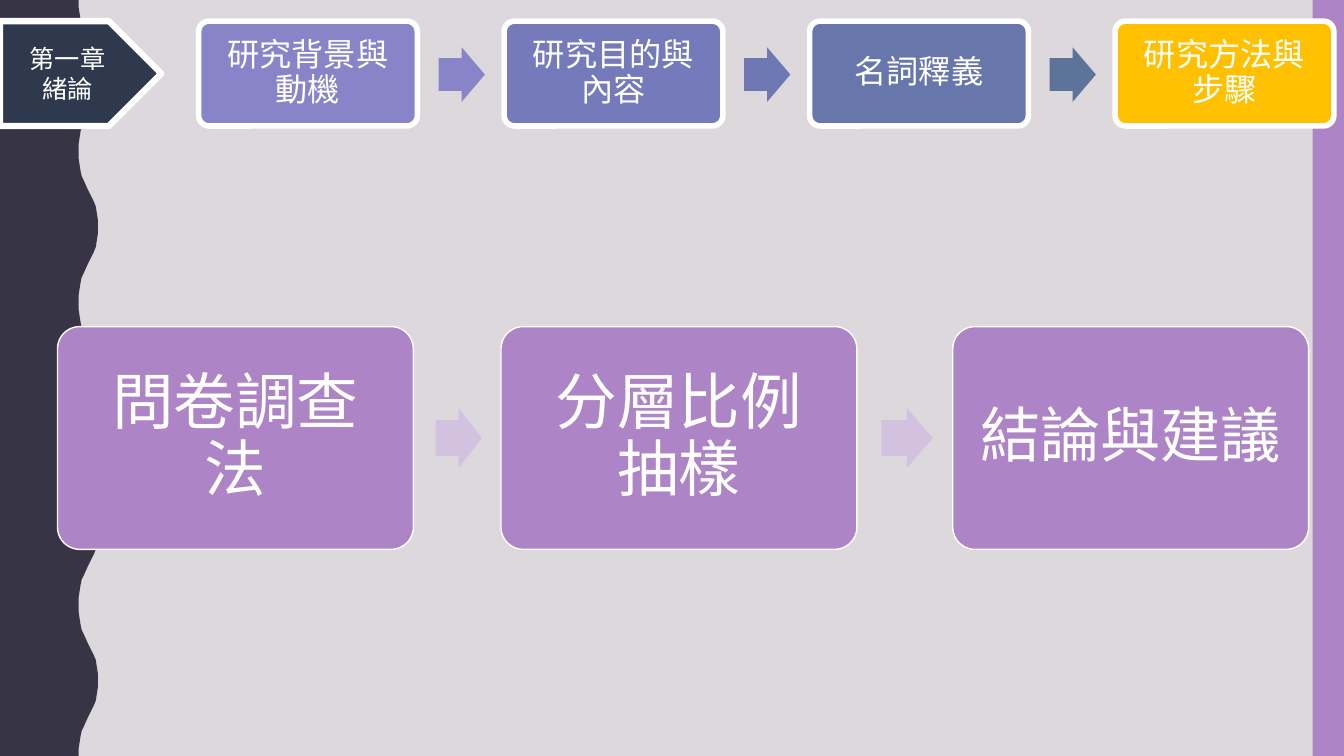
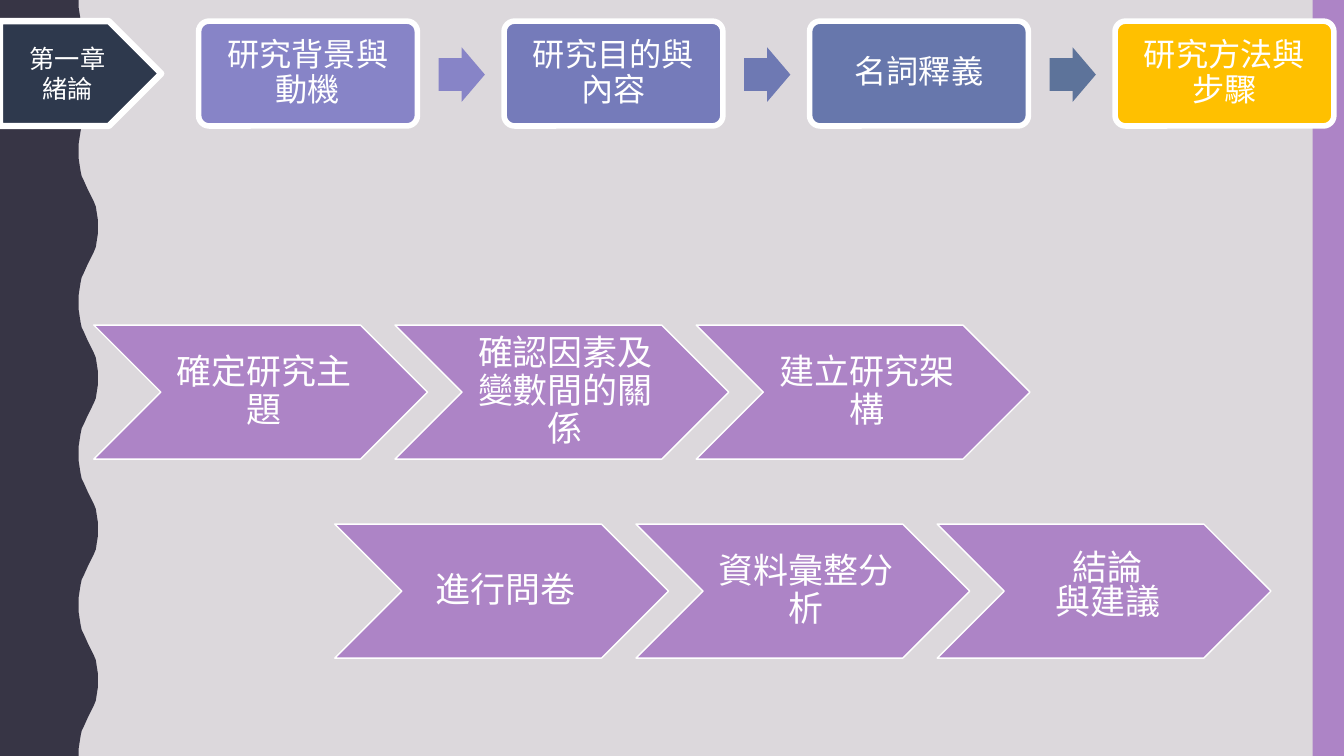
from lxml import etree
from pptx import Presentation
from pptx.dml.color import RGBColor
from pptx.enum.shapes import MSO_SHAPE
from pptx.enum.text import MSO_ANCHOR, PP_ALIGN
from pptx.oxml.ns import qn
from pptx.util import Inches, Pt

RECTANGLE = MSO_SHAPE.RECTANGLE
ROUNDED = MSO_SHAPE.ROUNDED_RECTANGLE
ARROW = MSO_SHAPE.RIGHT_ARROW
CHEVRON = MSO_SHAPE.CHEVRON
PENTAGON = MSO_SHAPE.PENTAGON
MIDDLE = MSO_ANCHOR.MIDDLE
CENTER = PP_ALIGN.CENTER

WHITE = "FFFFFF"
BACKGROUND = "DCD8DC"
DARK = "373545"
PURPLE = "AD84C6"
PALE_PURPLE = "D3C2DF"
NAVY = "2E394D"
FONT = "Noto Sans CJK SC"
LATIN_FONT = "Times New Roman"

CHAPTER = "第一章\n緒論"
SECTIONS = [
    ("研究背景與動機", "8784C7"),
    ("研究目的與內容", "757BBA"),
    ("名詞釋義", "6777AC"),
    ("研究方法與步驟", "FFC000"),
]
SECTION_ARROWS = ["8784C7", "6E79B3", "5D739A"]

WAVE_COUNT = 5
HALF_WAVE = [
    (5.85, 0), (5.85, 0.93), (5.93, 1.87), (6, 2.67), (6.08, 3.33),
    (6.23, 3.87), (6.53, 5.07), (6.83, 6.13), (6.98, 6.67),
    (7.13, 7.33), (7.2, 8.13), (7.28, 9.07), (7.28, 10),
]


def color(value):
    return RGBColor.from_string(value)


class Deck:
    def __init__(self):
        self.presentation = Presentation()
        self.presentation.slide_width = Inches(13.33)
        self.presentation.slide_height = Inches(7.5)
        self.slide = None

    def across(self, percent):
        return round(self.presentation.slide_width * percent / 100)

    def down(self, percent):
        return round(self.presentation.slide_height * percent / 100)

    def start_slide(self, section_font):
        self.slide = self.presentation.slides.add_slide(
            self.presentation.slide_layouts[6])
        fill = self.slide.background.fill
        fill.solid()
        fill.fore_color.rgb = color(BACKGROUND)
        self.wavy_band()
        self.shape(RECTANGLE, 97.67, 0, 2.33, 100, PURPLE)
        self.navigation(section_font)

    def paint(self, shape, fill, line_width=None):
        shape.shadow.inherit = False
        shape.fill.solid()
        shape.fill.fore_color.rgb = color(fill)
        if line_width is None:
            shape.line.fill.background()
        else:
            shape.line.color.rgb = color(WHITE)
            shape.line.width = Pt(line_width)

    def wavy_band(self):
        mirrored = [(x, 20 - y) for x, y in reversed(HALF_WAVE[1:-1])]
        edge = [(x, y + 20 * wave)
                for wave in range(WAVE_COUNT) for x, y in HALF_WAVE + mirrored]
        edge += [(HALF_WAVE[0][0], 100), (0, 100)]
        builder = self.slide.shapes.build_freeform(0, 0)
        builder.add_line_segments(
            [(self.across(x), self.down(y)) for x, y in edge], close=True)
        self.paint(builder.convert_to_shape(), DARK)

    def shape(self, kind, left, top, width, height, fill,
              line_width=None, adjustments=()):
        shape = self.slide.shapes.add_shape(
            kind, self.across(left), self.down(top),
            self.across(width), self.down(height))
        for index, value in enumerate(adjustments):
            shape.adjustments[index] = value
        self.paint(shape, fill, line_width)
        return shape

    def arrow(self, left, top, width, height, fill):
        self.shape(ARROW, left, top, width, height, fill,
                   adjustments=(0.6, 0.5))

    def label(self, shape, text, size, margins, font=FONT, spacing=None):
        frame = shape.text_frame
        frame.word_wrap = True
        frame.vertical_anchor = MIDDLE
        (frame.margin_left, frame.margin_top,
         frame.margin_right, frame.margin_bottom) = map(Pt, margins)
        frame.text = text
        for paragraph in frame.paragraphs:
            paragraph.alignment = CENTER
            if spacing:
                self.space(paragraph, spacing)
            for run in paragraph.runs:
                run.font.size = Pt(size)
                run.font.color.rgb = color(WHITE)
                run.font.name = font
                east_asian = etree.SubElement(
                    run.font._element, qn("a:ea"))
                east_asian.set("typeface", FONT)

    def space(self, paragraph, spacing):
        paragraph.line_spacing = spacing
        properties = paragraph._p.get_or_add_pPr()
        after = etree.SubElement(properties, qn("a:spcAft"))
        etree.SubElement(after, qn("a:spcPct")).set("val", "35000")

    def box(self, left, top, width, height, fill, line_width,
            text, size, margin, font=FONT):
        shape = self.shape(ROUNDED, left, top, width, height, fill,
                           line_width, (0.1,))
        self.label(shape, text, size, [margin] * 4, font, 0.9)

    def navigation(self, font):
        chapter = self.shape(PENTAGON, 0, 2.8, 12, 13.87, NAVY, 4.5)
        self.label(chapter, CHAPTER, 18, (7.2, 3.6, 7.2, 3.6))
        left, pitch = 14.78, 22.73
        for index, (text, fill) in enumerate(SECTIONS):
            self.box(left + index * pitch, 2.8, 16.28, 13.87, fill, 4,
                     text, 23, 7.2, font)
        for index, fill in enumerate(SECTION_ARROWS):
            self.arrow(left + 17.85 + index * pitch, 6.27, 3.45, 7.2, fill)

    def method_box(self, left, text, size):
        self.box(left, 43.2, 26.48, 29.47, PURPLE, 1, text, size, 13)

    def chevron_row(self, left, top, steps):
        for index, (text, spacing) in enumerate(steps):
            shape = self.shape(CHEVRON, left + index * 22.41, top,
                               24.83, 17.73, PURPLE, 1)
            self.label(shape, text, 25, (8, 3, 3, 3), spacing=spacing)


def main():
    deck = Deck()

    deck.start_slide(FONT)
    for left, text, size in [(4.28, "問卷調查法", 44),
                             (37.28, "分層比例抽樣", 44),
                             (70.89, "結論與建議", 43)]:
        deck.method_box(left, text, size)
    for left, width in [(32.41, 3.45), (65.57, 3.83)]:
        deck.arrow(left, 54, width, 7.87, PALE_PURPLE)

    deck.start_slide(LATIN_FONT)
    deck.chevron_row(6.98, 43, [("確定研究主題", 0.9),
                                ("確認因素及變數間的關係", 0.9),
                                ("建立研究架構", 0.9)])
    deck.chevron_row(24.91, 69.33, [("進行問卷", 0.9),
                                    ("資料彙整分析", 0.9),
                                    ("結論\n與建議", 0.5)])

    deck.presentation.save("out.pptx")


if __name__ == "__main__":
    main()
